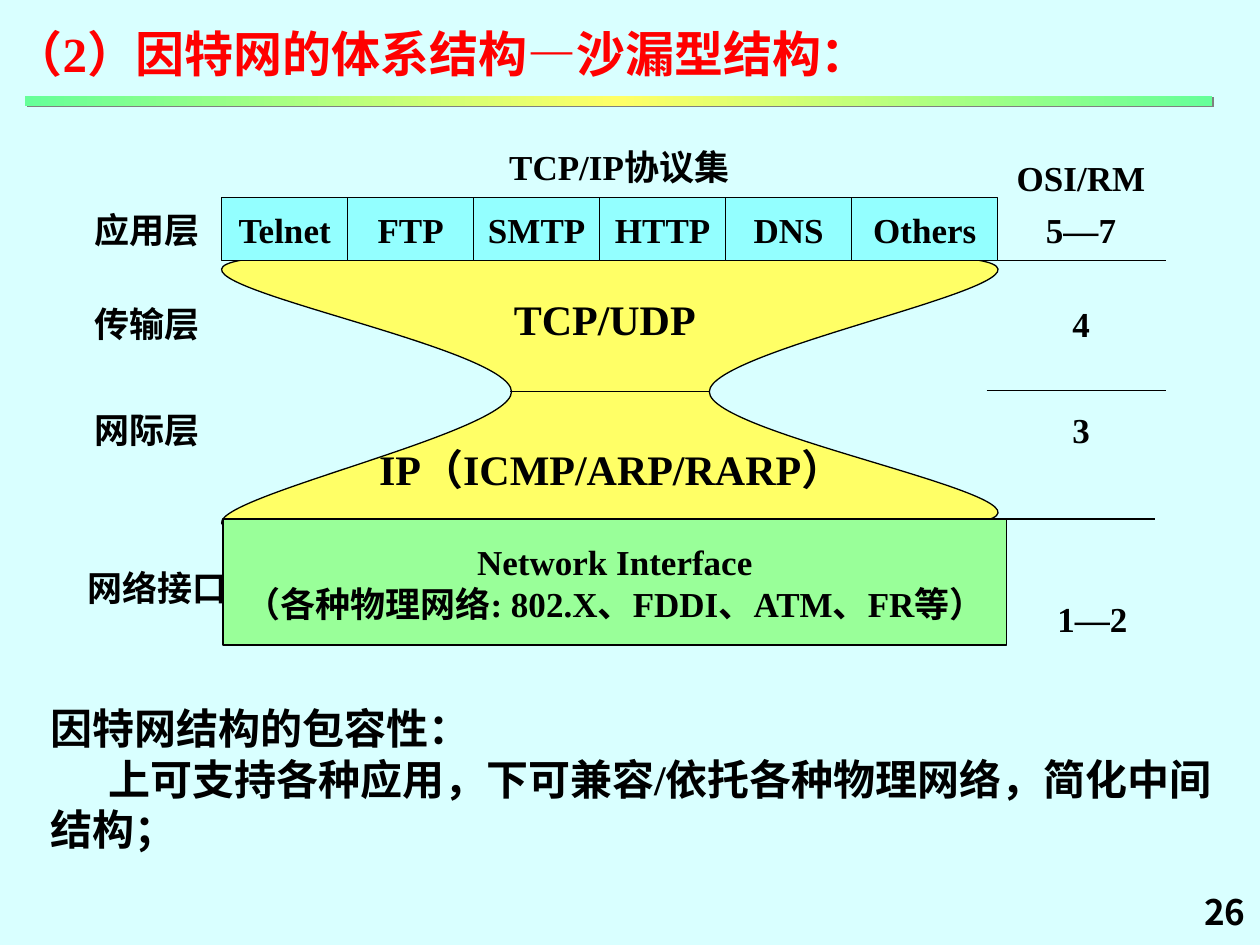
from copy import deepcopy
from dataclasses import dataclass

from lxml import etree
from pptx import Presentation
from pptx.dml.color import RGBColor
from pptx.enum.shapes import MSO_CONNECTOR, MSO_SHAPE
from pptx.enum.text import MSO_ANCHOR, MSO_AUTO_SIZE, PP_ALIGN
from pptx.oxml.ns import qn
from pptx.util import Inches, Pt

RECTANGLE = MSO_SHAPE.RECTANGLE
STRAIGHT = MSO_CONNECTOR.STRAIGHT
LEFT, CENTER = PP_ALIGN.LEFT, PP_ALIGN.CENTER
TOP, MIDDLE = MSO_ANCHOR.TOP, MSO_ANCHOR.MIDDLE
FIT_TEXT = MSO_AUTO_SIZE.SHAPE_TO_FIT_TEXT


@dataclass(frozen=True)
class Theme:
    background: str = "D9FFFF"
    ink: str = "000000"
    title: str = "FF0000"
    application: str = "93FFFF"
    waist: str = "FFFF66"
    network: str = "99FF99"
    bar_edge: str = "66FF99"
    bar_shadow: str = "808080"
    font: str = "Times New Roman"
    number_font: str = "Noto Sans CJK SC"
    title_size: int = 28
    large_size: int = 24
    label_size: int = 20
    line_width: float = 0.75


THEME = Theme()


def color(value):
    return RGBColor.from_string(value)


def write(shape, lines, size=THEME.label_size, align=CENTER, anchor=MIDDLE,
          ink=THEME.ink, font=THEME.font, wrap=False):
    frame = shape.text_frame
    frame.word_wrap = wrap
    frame.vertical_anchor = anchor
    frame.text = "\n".join(lines)
    for paragraph in frame.paragraphs:
        paragraph.alignment = align
        paragraph.font.size = Pt(size)
        paragraph.font.name = font
        paragraph.font.bold = True
        paragraph.font.color.rgb = color(ink)


def add_heading(slide, box, lines, **style):
    """Left-aligned text that starts at the top of a box that grows."""
    shape = slide.shapes.add_textbox(*map(Inches, box))
    write(shape, lines, align=LEFT, anchor=TOP, **style)
    shape.text_frame.auto_size = FIT_TEXT
    return shape


def outline(shape, fill):
    shape.shadow.inherit = False
    shape.fill.solid()
    shape.fill.fore_color.rgb = color(fill)
    shape.line.color.rgb = color(THEME.ink)
    shape.line.width = Pt(THEME.line_width)


def add_block(slide, box, lines, fill):
    shape = slide.shapes.add_shape(RECTANGLE, *map(Inches, box))
    outline(shape, fill)
    write(shape, lines)


def add_label(slide, box, text, **style):
    """One line in a bare rectangle, free to run past its sides."""
    shape = slide.shapes.add_shape(RECTANGLE, *map(Inches, box))
    shape.shadow.inherit = False
    shape.fill.background()
    shape.line.fill.background()
    write(shape, [text], **style)


def add_rule(slide, left, right, y):
    line = slide.shapes.add_connector(
        STRAIGHT, Inches(left), Inches(y), Inches(right), Inches(y))
    line.line.color.rgb = color(THEME.ink)
    line.line.width = Pt(THEME.line_width)
    etree.SubElement(line._element.spPr, qn("a:effectLst"))


def bend(shape):
    """Turn each three line segments into one cubic curve."""
    segments = list(shape._element.iter(qn("a:lnTo")))
    for first in range(0, len(segments), 3):
        curve = etree.Element(qn("a:cubicBezTo"))
        segments[first].addprevious(curve)
        for segment in segments[first:first + 3]:
            curve.append(segment[0])
            segment.getparent().remove(segment)


def add_hourglass(slide, left, top):
    start = (0.63, 0.17)
    controls = [
        (0, 0.34), (2.84, 0.84), (2.84, 1.2),
        (2.84, 1.55), (0, 2.13), (0.63, 2.3),
        (1.26, 2.47), (5.98, 2.41), (6.61, 2.22),
        (7.24, 2.04), (4.41, 1.54), (4.41, 1.2),
        (4.41, 0.86), (7.24, 0.34), (6.61, 0.17),
        (5.98, 0), (1.26, 0), start,
    ]
    builder = slide.shapes.build_freeform(*map(Inches, start), scale=1.0)
    builder.add_line_segments([(Inches(x), Inches(y)) for x, y in controls], close=True)
    hourglass = builder.convert_to_shape(Inches(left), Inches(top))
    bend(hourglass)
    outline(hourglass, THEME.waist)
    add_rule(slide, left + 2.83, left + 4.41, top + 1.2)


def add_layer_labels(slide, left, top):
    """Layer names on the left, matching OSI layers on the right."""
    layers = [(0.5, "应用层", "5—7"), (1.25, "传输层", "4"), (2.09, "网际层", "3")]
    for offset, name, osi in layers:
        add_label(slide, (left, top + offset, 1, 0.5), name)
        add_label(slide, (left + 7.41, top + offset, 1, 0.5), osi)
    add_label(slide, (left + 0.08, top + 3.34, 1, 0.5), "网络接口")
    add_label(slide, (left + 7.5, top + 3.59, 1, 0.5), "1—2")
    add_label(slide, (left + 7.41, top + 0.09, 1, 0.5), "OSI/RM")
    add_label(slide, (left + 3.33, top, 1.83, 0.5), "TCP/IP协议集")
    for offset, right in ((3.05, 8.5), (2.03, 8.58), (1, 8.58)):
        add_rule(slide, left + 7.16, left + right, top + offset)


def add_applications(slide, left, top):
    names = ["Telnet", "FTP", "SMTP", "HTTP", "DNS", "Others"]
    for column, name in enumerate(names):
        width = 1.16 if name == names[-1] else 1
        add_block(slide, (left + column, top, width, 0.5), [name], THEME.application)


def add_architecture(slide, left, top):
    add_hourglass(slide, left + 0.55, top + 0.84)
    add_layer_labels(slide, left, top)
    add_applications(slide, left + 1.09, top + 0.5)
    add_block(slide, (left + 1.1, top + 3.05, 6.22, 1),
              ["Network Interface", "（各种物理网络: 802.X、FDDI、ATM、FR等）"],
              THEME.network)
    inner = {"size": THEME.large_size, "align": LEFT, "anchor": TOP}
    add_label(slide, (left + 3.31, top + 1.21, 1.64, 0.5), "TCP/UDP", **inner)
    add_label(slide, (left + 2.24, top + 2.4, 4.12, 0.5), "IP（ICMP/ARP/RARP）", **inner)


def add_title_bar(slide, box):
    bar = slide.shapes.add_shape(RECTANGLE, *map(Inches, box))
    bar.line.fill.background()
    bar.fill.gradient()
    bar.fill.gradient_angle = 0
    first, last = bar.fill.gradient_stops
    first.position, last.position = 0, 1
    first.color.rgb = last.color.rgb = color(THEME.bar_edge)
    stops = bar._element.spPr.find(qn("a:gradFill")).find(qn("a:gsLst"))
    stops.insert(1, deepcopy(stops[0]))
    middle = bar.fill.gradient_stops[1]
    middle.position = 0.5
    middle.color.rgb = color(THEME.waist)
    effects = etree.SubElement(bar._element.spPr, qn("a:effectLst"))
    shadow = etree.SubElement(effects, qn("a:outerShdw"), dist=str(Pt(1.4)),
                              dir="2700000", algn="ctr", rotWithShape="0")
    etree.SubElement(shadow, qn("a:srgbClr"), val=THEME.bar_shadow)


def add_summary(slide, box):
    summary = add_heading(
        slide, box,
        ["因特网结构的包容性：",
         "上可支持各种应用，下可兼容/依托各种物理网络，简化中间结构；"],
        size=THEME.large_size, wrap=True)
    detail = summary.text_frame.paragraphs[1]
    detail._p.get_or_add_pPr().set("indent", str(Inches(0.46)))


def main():
    presentation = Presentation()
    presentation.slide_width = Inches(10)
    presentation.slide_height = Inches(7.5)
    slide = presentation.slides.add_slide(presentation.slide_layouts[6])
    slide.background.fill.solid()
    slide.background.fill.fore_color.rgb = color(THEME.background)
    add_heading(slide, (0.01, 0.14, 7.18, 0.57), ["（2）因特网的体系结构—沙漏型结构："],
                size=THEME.title_size, ink=THEME.title)
    add_title_bar(slide, (0.2, 0.76, 9.42, 0.08))
    add_architecture(slide, 0.67, 1.07)
    add_summary(slide, (0.3, 5.53, 9.5, 1.3))
    add_heading(slide, (9.46, 7.02, 0.53, 0.44), ["26"], font=THEME.number_font)
    presentation.save("out.pptx")


if __name__ == "__main__":
    main()
